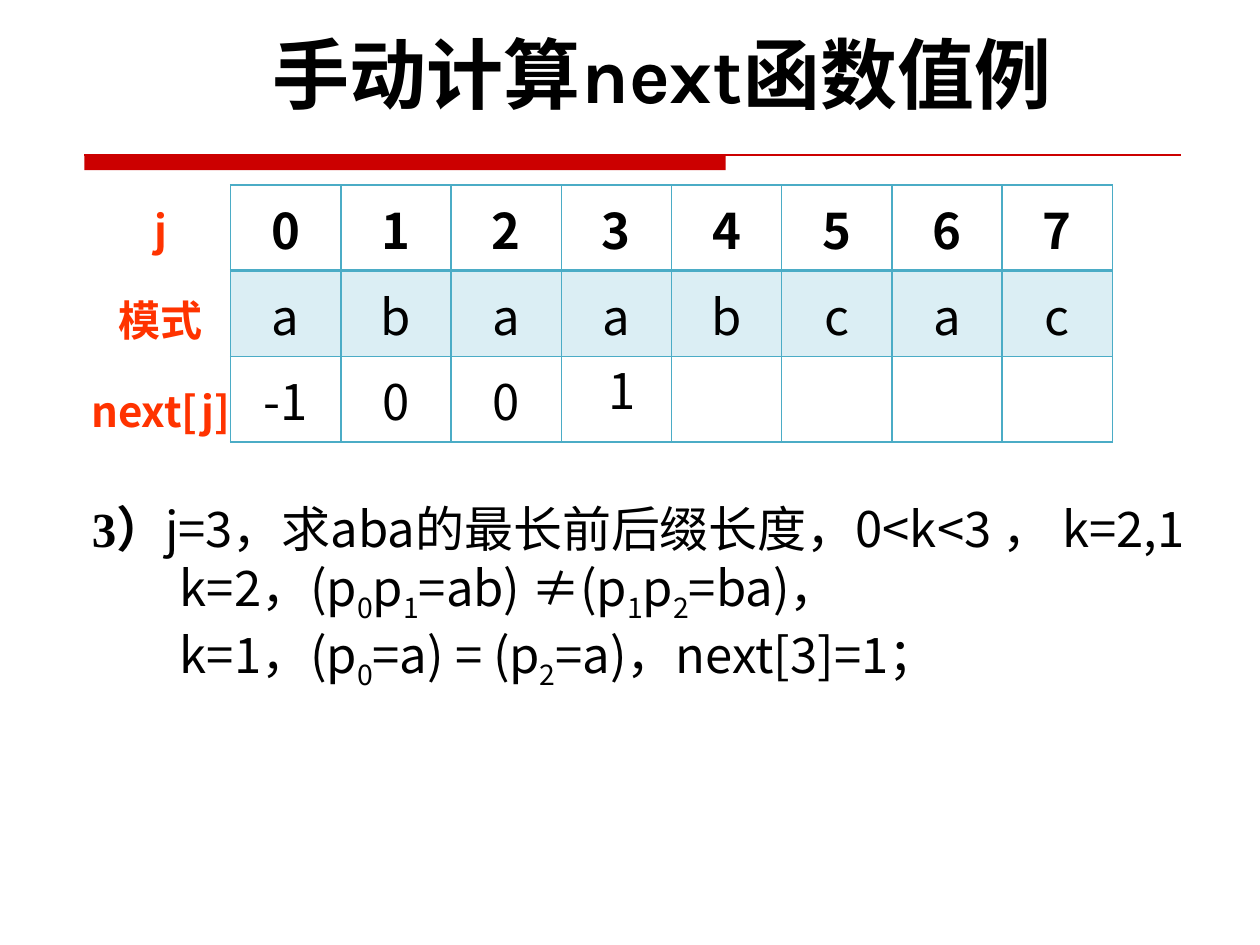
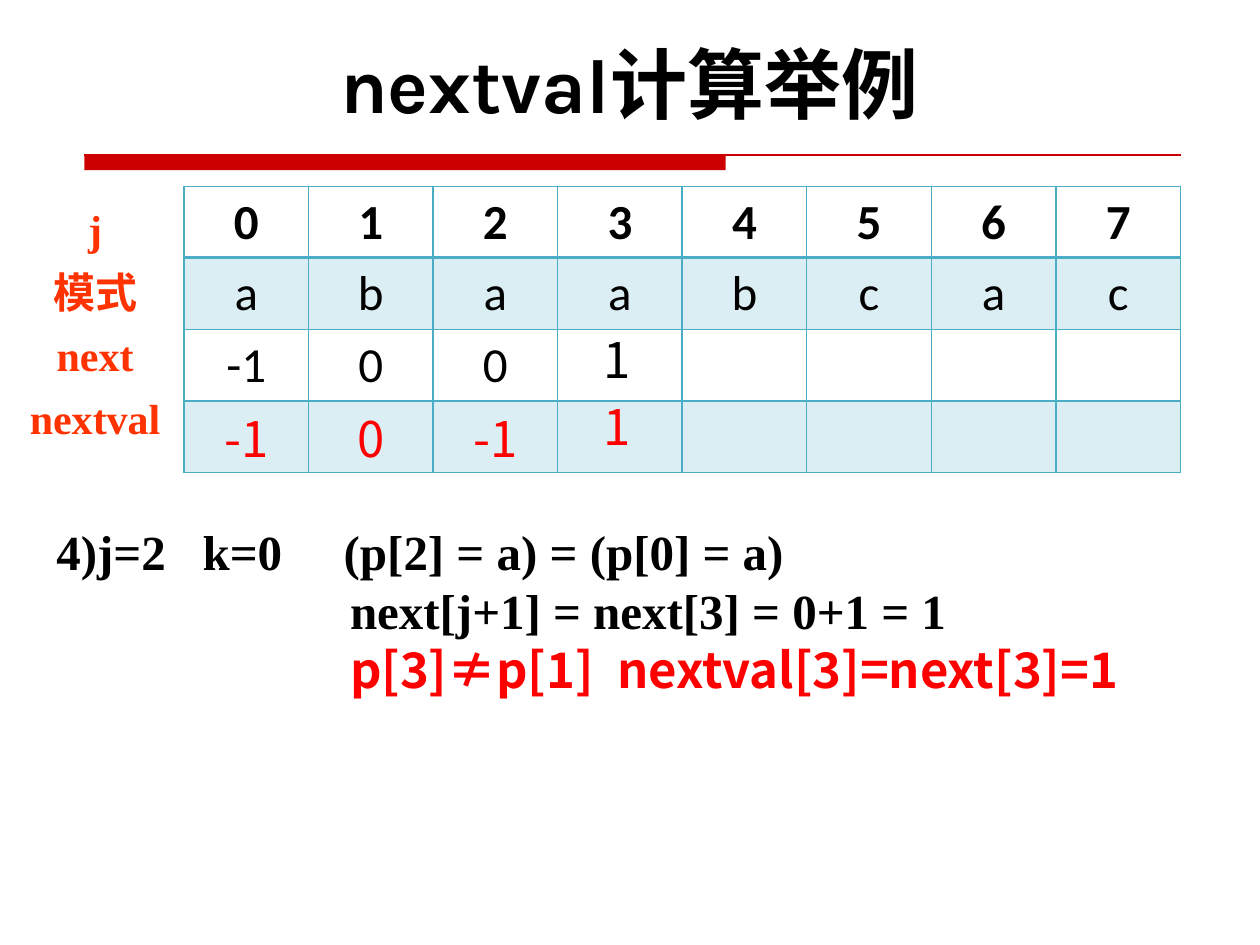
from lxml import etree
from pptx import Presentation
from pptx.dml.color import RGBColor
from pptx.enum.shapes import MSO_CONNECTOR, MSO_SHAPE
from pptx.enum.text import MSO_ANCHOR, MSO_AUTO_SIZE, PP_ALIGN
from pptx.oxml.ns import qn
from pptx.util import Inches, Pt

CENTER, LEFT = PP_ALIGN.CENTER, PP_ALIGN.LEFT
MIDDLE = MSO_ANCHOR.MIDDLE
NO_AUTOFIT = MSO_AUTO_SIZE.NONE
RECTANGLE, STRAIGHT = MSO_SHAPE.RECTANGLE, MSO_CONNECTOR.STRAIGHT
TITLE_ONLY = 5

SANS, SERIF, TABLE_FONT, TITLE_FONT = "Noto Sans CJK SC", "Times New Roman", "Calibri", "Karla"
BLACK, RED, LABEL_RED, BAND_RED = "000000", "FF0000", "FF3300", "CC0000"
TEAL, PALE_TEAL, WHITE = "4BACC6", "DBEEF4", "FFFFFF"

INDICES = list("01234567")
PATTERN = list("abaabcac")
COLUMNS = len(INDICES)

# In explanation text, every second part between bars is a subscript.
PAGES = [
    {
        "title": "手动计算next函数值例", "title_at": (0.63, 0.16, 9.25, 0.84),
        "labels": ["j", "模式", "next[j]"], "labels_at": (0.58, 1.57, 1.39, 2.59),
        "label_font": SANS, "label_gap": 23, "label_spacing": 1.0,
        "rows": [INDICES, PATTERN, ["-1", "0", "0"]],
        "table_at": (1.83, 1.47, 7.0, 2.04), "table_font": SANS, "red_row": None,
        "explanation_at": (0.63, 3.91, 9.29, 1.51),
        "explanation": [
            {"lead": "3）", "text": "j=3，求aba的最长前后缀长度，0<k<3 ， k=2,1"},
            {"text": "k=2，(p|0|p|1|=ab) ≠(p|1|p|2|=ba)，", "indent": 0.7},
            {"text": "k=1，(p|0|=a) = (p|2|=a)，next[3]=1；", "indent": 0.7},
        ],
        "new_values": [("1", BLACK, (4.73, 2.81, 0.63, 0.57))],
    },
    {
        "title": "nextval计算举例", "title_at": (0.62, 0.29, 8.75, 0.74),
        "labels": ["j", "模式", "next", "nextval"], "labels_at": (0.13, 1.47, 1.25, 2.07),
        "label_font": SERIF, "label_gap": 0, "label_spacing": 1.25,
        "rows": [INDICES, PATTERN, ["-1", "0", "0"], ["-1", "0", "-1"]],
        "table_at": (1.46, 1.48, 7.91, 2.27), "table_font": TABLE_FONT, "red_row": 3,
        "explanation_at": (0.35, 4.09, 9.6, 1.51),
        "explanation": [
            {"text": "4)j=2\tk=0\t(p[2] = a) = (p[0] = a)", "tabs": (1.16, 2.28),
             "font": SERIF, "bold": True},
            {"text": "\tnext[j+1] = next[3] = 0+1 = 1", "tabs": (2.33,),
             "font": SERIF, "bold": True},
            {"text": "\tp[3]≠p[1]\tnextval[3]=next[3]=1", "tabs": (2.33, 4.45),
             "bold": True, "color": RED},
        ],
        "new_values": [("1", BLACK, (4.69, 2.57, 0.55, 0.57)),
                       ("1", RED, (4.69, 3.1, 0.55, 0.57))],
    },
]


def rgb(color):
    return RGBColor.from_string(color)


def lengths(box):
    return [Inches(value) for value in box]


def style_para(para, font, size, color=BLACK, bold=False, align=LEFT):
    para.alignment = align
    para.font.name = font
    para.font.size = Pt(size)
    para.font.bold = bold
    para.font.color.rgb = rgb(color)
    latin = para.font._element.find(qn("a:latin"))
    east_asian = etree.Element(qn("a:ea"), typeface=SANS)
    latin.addnext(east_asian)


def add_box(page, at, wrap=True):
    frame = page.shapes.add_textbox(*lengths(at)).text_frame
    frame.word_wrap = wrap
    return frame


def paragraphs(frame, items):
    """Yield each item with its own paragraph, using the frame's first one."""
    for number, item in enumerate(items):
        yield (frame.add_paragraph() if number else frame.paragraphs[0]), item


def add_title(page, text, at):
    title = page.shapes.title
    title.left, title.top, title.width, title.height = lengths(at)
    frame = title.text_frame
    frame.text = text
    frame.auto_size = NO_AUTOFIT
    frame.vertical_anchor = MIDDLE
    style_para(frame.paragraphs[0], TITLE_FONT, 44, bold=True, align=CENTER)


def add_band(page):
    left, top, right = 0.67, 1.23, 9.37
    band = page.shapes.add_shape(RECTANGLE, *lengths((left, top, 5.09, 0.12)))
    band.shadow.inherit = False
    band.fill.solid()
    band.fill.fore_color.rgb = rgb(BAND_RED)
    band.line.fill.background()
    rule = page.shapes.add_connector(STRAIGHT, *lengths((left, top, right, top)))
    rule.line.color.rgb = rgb(BAND_RED)
    rule.line.width = Pt(0.75)
    etree.SubElement(rule._element.spPr, qn("a:effectLst"))


def add_labels(page, content):
    frame = add_box(page, content["labels_at"], wrap=False)
    for para, label in paragraphs(frame, content["labels"]):
        para.text = label
        para.line_spacing = content["label_spacing"]
        if label != content["labels"][0]:
            para.space_before = Pt(content["label_gap"])
        style_para(para, content["label_font"], 24, LABEL_RED, True, CENTER)


def set_borders(cell, top, bottom):
    properties = cell._tc.get_or_add_tcPr()
    widths = {"a:lnL": 1, "a:lnR": 1, "a:lnT": top, "a:lnB": bottom}
    for place, (tag, width) in enumerate(widths.items()):
        line = etree.Element(qn(tag), w=str(Pt(width)))
        fill = etree.SubElement(line, qn("a:solidFill"))
        etree.SubElement(fill, qn("a:srgbClr"), val=TEAL)
        properties.insert(place, line)


def add_value_table(page, content):
    rows = content["rows"]
    left, top, width, height = lengths(content["table_at"])
    table = page.shapes.add_table(len(rows), COLUMNS, left, top, width, height).table
    table.first_row = table.horz_banding = False
    for row, values in enumerate(rows):
        red = row == content["red_row"]
        for column in range(COLUMNS):
            cell = table.cell(row, column)
            cell.vertical_anchor = MIDDLE
            cell.fill.solid()
            cell.fill.fore_color.rgb = rgb(PALE_TEAL if row % 2 else WHITE)
            set_borders(cell, top=2 if row == 1 else 1, bottom=2 if row == 0 else 1)
            if red:
                cell.margin_top = cell.margin_bottom = 0
            if column < len(values):
                cell.text = values[column]
                style_para(cell.text_frame.paragraphs[0],
                           SANS if red else content["table_font"], 28,
                           RED if red else BLACK, row == 0, CENTER)


def add_tabs(para, stops):
    tab_list = etree.SubElement(para._p.get_or_add_pPr(), qn("a:tabLst"))
    for stop in stops:
        etree.SubElement(tab_list, qn("a:tab"), pos=str(Inches(stop)), algn="l")


def add_explanation(page, content):
    frame = add_box(page, content["explanation_at"])
    for para, step in paragraphs(frame, content["explanation"]):
        if "indent" in step:
            properties = para._p.get_or_add_pPr()
            properties.set("marL", str(Inches(step["indent"])))
            properties.set("indent", "0")
        if "tabs" in step:
            add_tabs(para, step["tabs"])
        style_para(para, step.get("font", SANS), 28,
                   step.get("color", BLACK), step.get("bold", False))
        if "lead" in step:
            lead = para.add_run()
            lead.text = step["lead"]
            lead.font.name = SERIF
            lead.font.bold = True
        for number, part in enumerate(step["text"].split("|")):
            span = para.add_run()
            span.text = part
            if number % 2:
                span._r.get_or_add_rPr().set("baseline", "-25000")


def add_new_values(page, new_values):
    for value, color, at in new_values:
        para = add_box(page, at).paragraphs[0]
        para.text = value
        style_para(para, SANS, 28, color)


def main():
    deck = Presentation()
    deck.slide_width, deck.slide_height = Inches(10), Inches(7.5)
    for content in PAGES:
        page = deck.slides.add_slide(deck.slide_layouts[TITLE_ONLY])
        add_band(page)
        add_title(page, content["title"], content["title_at"])
        add_labels(page, content)
        add_value_table(page, content)
        add_explanation(page, content)
        add_new_values(page, content["new_values"])
    deck.save("out.pptx")


if __name__ == "__main__":
    main()
